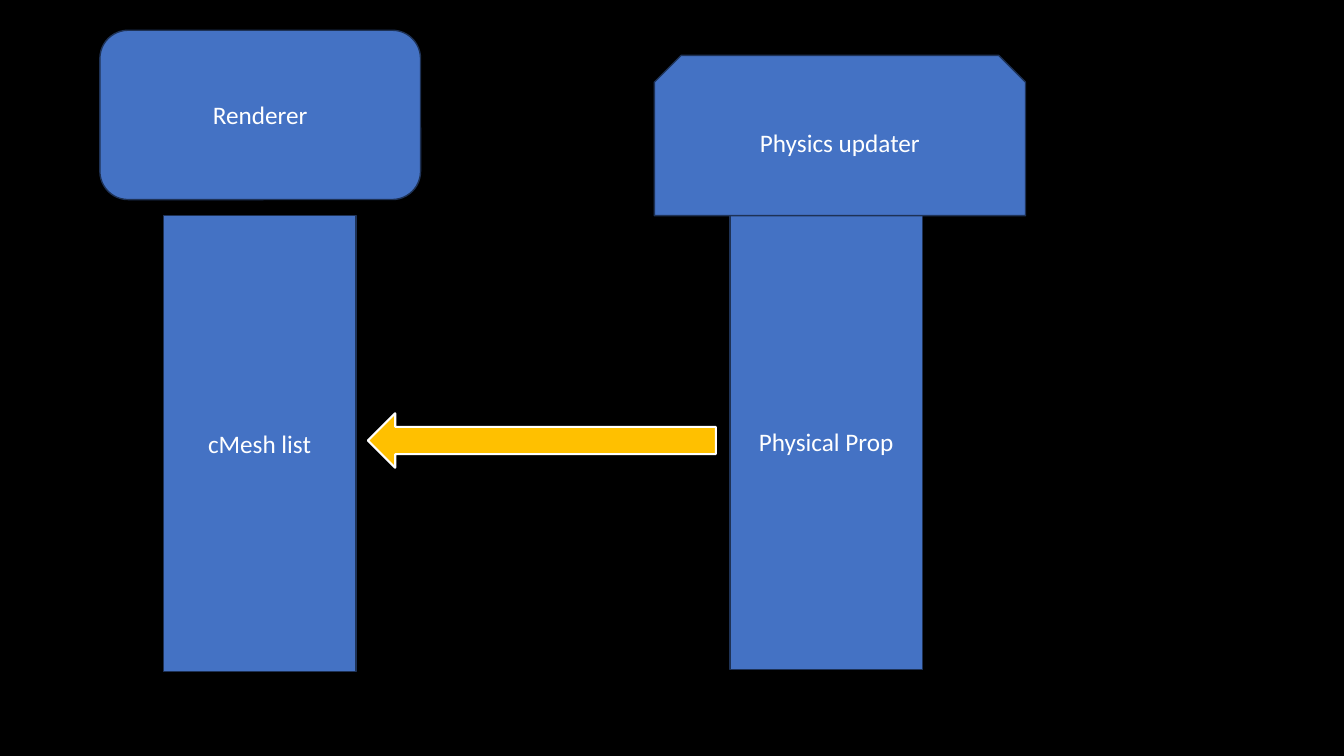
import pptx
import pptx.util
import pptx.dml.color
import pptx.enum.shapes
import pptx.enum.text

COLORS = {"background": "000000", "block": "4472C4", "outline": "1E3256",
          "text": "FFFFFF", "arrow": "FFC000", "arrow outline": "FFFFFF"}
SHAPES = pptx.enum.shapes.MSO_SHAPE

deck = pptx.Presentation()
deck.slide_width = pptx.util.Inches(13.33)
deck.slide_height = pptx.util.Inches(7.5)
page = deck.slides.add_slide(deck.slide_layouts[6])


def color(name):
    return pptx.dml.color.RGBColor.from_string(COLORS[name])


def add_box(kind, left, top, width, height, fill, outline, weight):
    """Add a flat shape; lengths are percentages of the slide's size."""
    box = page.shapes.add_shape(
        kind,
        round(deck.slide_width * left / 100),
        round(deck.slide_height * top / 100),
        round(deck.slide_width * width / 100),
        round(deck.slide_height * height / 100))
    box.shadow.inherit = False
    box.fill.solid()
    box.fill.fore_color.rgb = color(fill)
    box.line.color.rgb = color(outline)
    box.line.width = pptx.util.Pt(weight)
    return box


# Background
page.background.fill.solid()
page.background.fill.fore_color.rgb = color("background")

# Each system sits above the column of objects it works on
column_width, column_height = 14.33, 60.27
blocks = [
    ("cMesh list", SHAPES.RECTANGLE, 12.15, 28.53, column_width, column_height),
    ("Renderer", SHAPES.ROUNDED_RECTANGLE, 7.43, 4, 23.86, 22.4),
    ("Physical Prop", SHAPES.RECTANGLE, 54.31, 28.27, column_width, column_height),
    ("Physics updater", SHAPES.SNIP_2_SAME_RECTANGLE, 48.69, 7.33, 27.61, 21.2),
]
for label, kind, left, top, width, height in blocks:
    box = add_box(kind, left, top, width, height, "block", "outline", 1)
    box.text_frame.word_wrap = True
    box.text_frame.vertical_anchor = pptx.enum.text.MSO_ANCHOR.MIDDLE
    para = box.text_frame.paragraphs[0]
    para.text = label
    para.alignment = pptx.enum.text.PP_ALIGN.CENTER
    para.font.name = "Calibri"
    para.font.size = pptx.util.Pt(18)
    para.font.color.rgb = color("text")

# Arrow from the physical props to the mesh list
add_box(SHAPES.LEFT_ARROW, 27.38, 54.67, 25.88, 7.2, "arrow", "arrow outline", 1.5)

deck.save("out.pptx")
